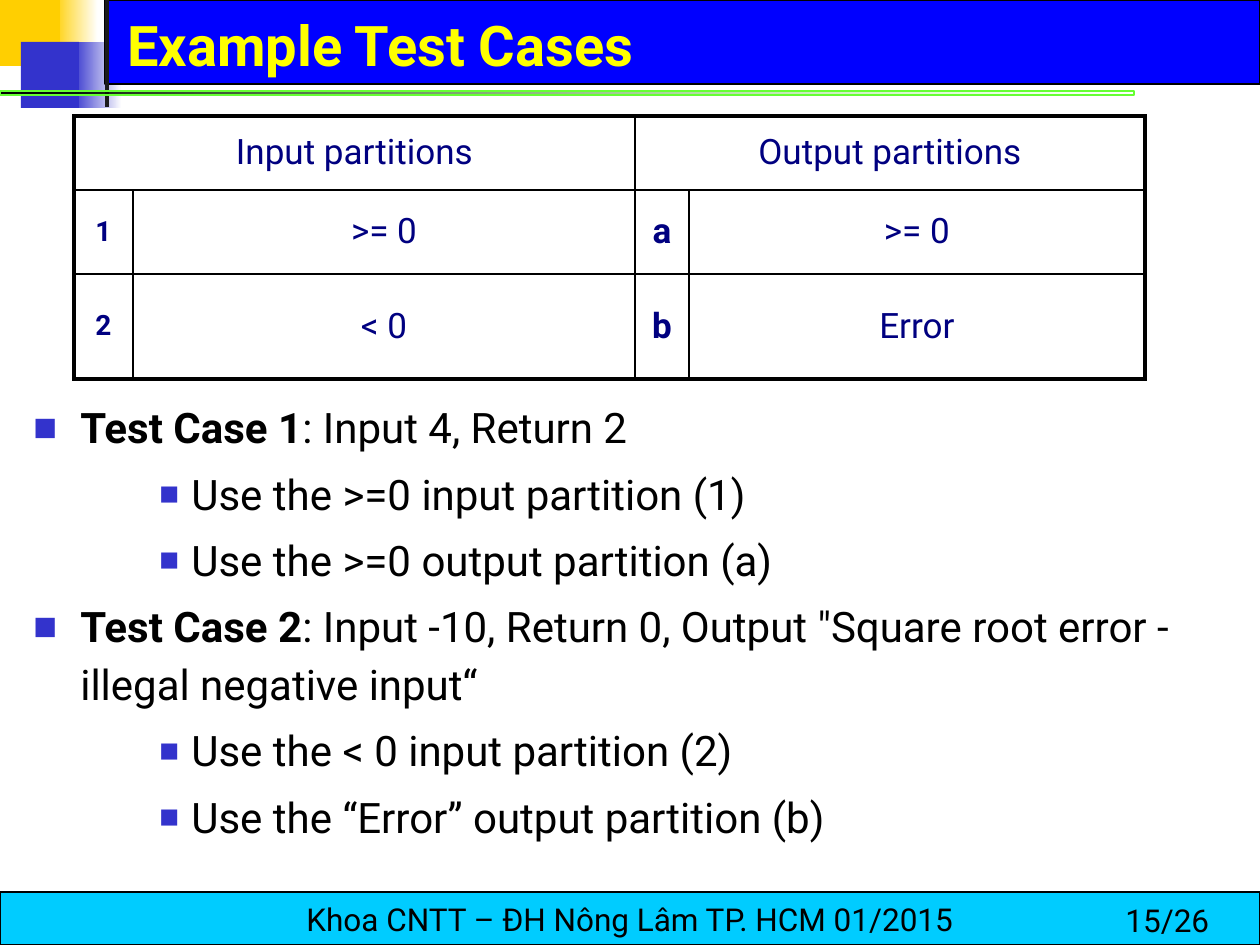
from lxml.etree import SubElement
from pptx import Presentation
from pptx.dml.color import RGBColor
from pptx.enum.shapes import MSO_SHAPE as Shape
from pptx.enum.text import MSO_ANCHOR as Anchor, PP_ALIGN as Align
from pptx.oxml.ns import qn
from pptx.util import Emu, Pt

FONT = "Roboto"
BLACK, YELLOW, NAVY = "000000", "FFFF00", "000080"
GOLD, INDIGO, GREEN, WHITE = "FFCF01", "3333CC", "66FF33", "FFFFFF"


def px(length):
    return Emu(round(length * 914400 / 126))


def rgb(value):
    return RGBColor.from_string(value)


def add(parent, tag, **attributes):
    return SubElement(parent, qn(tag), attributes)


def add_bar(slide, box, fill, fade_to=None, line=None, line_width=0.75):
    shape = slide.shapes.add_shape(Shape.RECTANGLE, *map(px, box))
    shape.shadow.inherit = False
    if fade_to:
        shape.fill.gradient()
        shape.fill.gradient_angle = 0
        for stop, color in zip(shape.fill.gradient_stops, (fill, fade_to)):
            stop.color.rgb = rgb(color)
    else:
        shape.fill.solid()
        shape.fill.fore_color.rgb = rgb(fill)
    if line:
        shape.line.color.rgb = rgb(line)
        shape.line.width = Pt(line_width)
    else:
        shape.line.fill.background()
    return shape


def add_text_box(slide, box, anchor=Anchor.TOP):
    frame = slide.shapes.add_textbox(*map(px, box)).text_frame
    frame.word_wrap = True
    frame.vertical_anchor = anchor
    return frame


def style_run(run, size, color, bold=False):
    run.font.name = FONT
    run.font.size = Pt(size)
    run.font.bold = bold
    run.font.color.rgb = rgb(color)


def write(frame, text, size, color, bold=False, align=Align.LEFT):
    frame.text = text
    paragraph = frame.paragraphs[0]
    paragraph.alignment = align
    style_run(paragraph.runs[0], size, color, bold)
    return paragraph


def add_header(slide, box, title):
    left, top, width, height = box
    # Coloured blocks and their fading tails
    add_bar(slide, (left + 53, top, 45, 66), GOLD, WHITE)
    add_bar(slide, (left + 72, top + 42, 50, 66), INDIGO, WHITE)
    add_bar(slide, (left + 105, top, width - 105, 84), "0000FF", line=BLACK)
    add_bar(slide, (left, top, 60, 66), GOLD)
    add_bar(slide, (left + 21, top + 42, 58, 66), INDIGO)
    add_bar(slide, (left + 105, top, 4, 107), "1C1C1C")
    # Rule that fades to transparent
    rule = add_bar(slide, (left, top + 91, 1134, 4), BLACK, GREEN, GREEN, 0)
    last_color = rule.fill._xPr.findall(".//" + qn("a:srgbClr"))[1]
    add(last_color, "a:alpha", val="0")
    # Title
    frame = add_text_box(slide, (left + 115, top, 1071, 84), Anchor.BOTTOM)
    write(frame, title, 32, YELLOW, True)


def add_footer(slide, box, text, page):
    left, top, width, height = box
    frame = add_bar(slide, box, "00CCFF", line=BLACK).text_frame
    frame.word_wrap = False
    frame.vertical_anchor = Anchor.MIDDLE
    write(frame, text, 18, BLACK, align=Align.CENTER)
    number = add_text_box(slide, (left + width - 147, top + 3, 147, 50))
    write(number, page, 18, BLACK)


def set_borders(cell, outer_sides):
    properties = cell._tc.get_or_add_tcPr()
    for side in "LRTB":
        width = Pt(2.25 if side in outer_sides else 1)
        line = add(properties, "a:ln" + side, w=str(width))
        add(add(line, "a:solidFill"), "a:srgbClr", val=BLACK)


def add_partition_table(slide, box, columns, rows, content):
    table = slide.shapes.add_table(
        len(rows), len(columns), *map(px, box)).table
    table.first_row = table.horz_banding = False
    for column, width in zip(table.columns, columns):
        column.width = px(width)
    for row, height in zip(table.rows, rows):
        row.height = px(height)
    for start in (0, 2):
        table.cell(0, start).merge(table.cell(0, start + 1))

    for i, texts in enumerate(content):
        for j, text in enumerate(texts):
            cell = table.cell(i, j)
            if cell.is_spanned:
                continue
            last = j + cell.span_width - 1 if cell.is_merge_origin else j
            edges = {"L": j == 0, "R": last == len(columns) - 1,
                     "T": i == 0, "B": i == len(rows) - 1}
            set_borders(cell, [side for side in edges if edges[side]])
            cell.fill.background()
            cell.vertical_anchor = Anchor.MIDDLE
            is_label = i > 0 and j % 2 == 0
            size = 16 if is_label and j == 0 else 20
            paragraph = write(cell.text_frame, text, size, NAVY,
                              is_label, Align.CENTER)
            paragraph.space_before = Pt(size * 0.2)


def add_bullet(paragraph, margin, hanging, percent):
    paragraph.line_spacing = 1.15
    paragraph.space_before = Pt(4.8)
    properties = paragraph._p.get_or_add_pPr()
    properties.set("marL", str(px(margin)))
    properties.set("indent", str(-px(hanging)))
    add(add(properties, "a:buClr"), "a:srgbClr", val=INDIGO)
    add(properties, "a:buSzPct", val=str(percent * 1000))
    add(properties, "a:buFont", typeface=FONT)
    add(properties, "a:buChar", char="■")


def add_test_cases(slide, box, cases):
    frame = add_text_box(slide, box)
    paragraph = frame.paragraphs[0]
    for index, (name, description, steps) in enumerate(cases):
        if index:
            paragraph = frame.add_paragraph()
        add_bullet(paragraph, 47, 47, 60)
        for text, bold in ((name, True), (description, False)):
            run = paragraph.add_run()
            run.text = text
            style_run(run, 24, BLACK, bold)
        for step in steps:
            paragraph = frame.add_paragraph()
            paragraph.text = step
            paragraph.level = 2
            add_bullet(paragraph, 158, 32, 50)
            style_run(paragraph.runs[0], 24, BLACK)


def main():
    presentation = Presentation()
    presentation.slide_width, presentation.slide_height = px(1260), px(945)
    slide = presentation.slides.add_slide(presentation.slide_layouts[6])

    add_header(slide, (0, 0, 1260, 108), "Example Test Cases")
    add_footer(slide, (0, 892, 1260, 53),
               "Khoa CNTT – ĐH Nông Lâm TP. HCM 01/2015", "15/26")
    add_test_cases(slide, (21, 388, 1239, 504), [
        ("Test Case 1", ": Input 4, Return 2",
         ["Use the >=0 input partition (1)",
          "Use the >=0 output partition (a)"]),
        ("Test Case 2", ": Input -10, Return 0, Output \"Square root error - "
                        "illegal negative input“",
         ["Use the < 0 input partition (2)",
          "Use the “Error” output partition (b)"]),
    ])
    add_partition_table(
        slide, (74, 116, 1071, 263), (59, 502, 54, 456), (74, 84, 105),
        [("Input partitions", "", "Output partitions", ""),
         ("1", ">= 0", "a", ">= 0"),
         ("2", "< 0", "b", "Error")])

    presentation.save("out.pptx")


if __name__ == "__main__":
    main()
